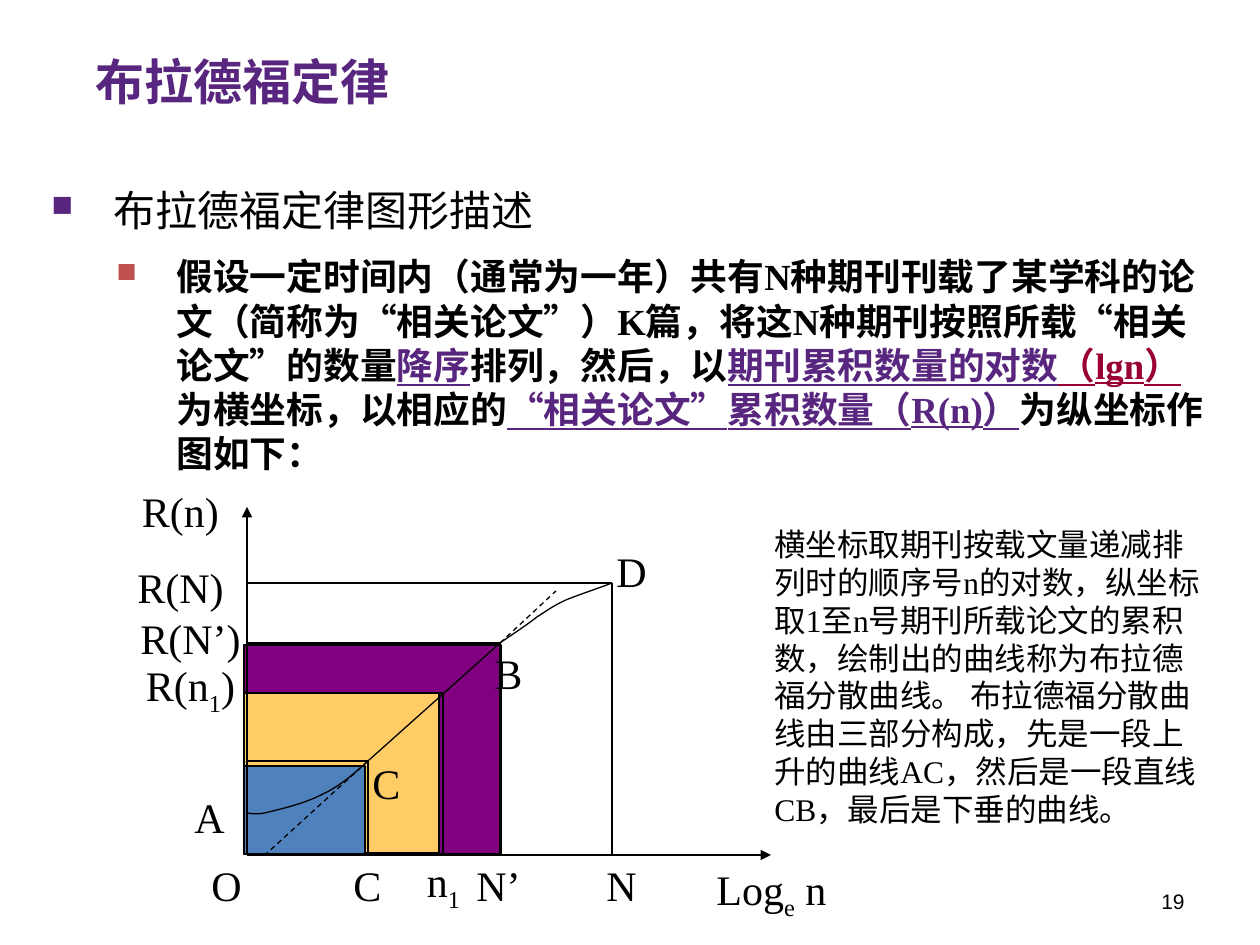
from itertools import groupby

from lxml import etree
from pptx import Presentation
from pptx import util as u
from pptx.dml.color import RGBColor
from pptx.enum import dml, lang, shapes, text
from pptx.oxml import ns

SCALE = 914400 / 126
BLACK = RGBColor(0x00, 0x00, 0x00)
VIOLET = RGBColor(0x58, 0x26, 0x7E)
CRIMSON = RGBColor(0x99, 0x00, 0x33)
RED = RGBColor(0xC0, 0x50, 0x4D)
PURPLE = RGBColor(0x80, 0x00, 0x80)
ORANGE = RGBColor(0xFF, 0xCC, 0x66)
BLUE = RGBColor(0x4F, 0x81, 0xBD)
SERIF = "Times New Roman"

LEFT, BASE = 247, 855
X_C, X_N1, X_NP, X_N = 368, 443, 500, 612
Y_N, Y_NP, Y_N1, Y_C = 583, 643, 693, 761

ZONES = [(645, 257, 209, PURPLE), (693, 195, 160, ORANGE), (766, 121, 88, BLUE)]
GUIDES = [
    (LEFT, Y_C, X_C, Y_C),
    (LEFT, Y_N1, X_N1, Y_N1),
    (LEFT, Y_NP, X_NP, Y_NP),
    (LEFT, Y_N, X_N, Y_N),
    (X_C, Y_C, X_C, BASE),
    (X_N1, Y_N1, X_N1, BASE),
    (X_NP, Y_NP, X_NP, BASE),
    (X_N, Y_N, X_N, BASE),
    (X_C, Y_C, X_NP, Y_NP),
]
AXES = [(LEFT, BASE, LEFT, 507), (LEFT, BASE, 771, BASE)]
EXTENSIONS = [(X_C, Y_C, 265, BASE), (X_NP, Y_NP, 556, 591)]
CURVES = [
    [(X_C, Y_C), (354, 774), (339, 787), (321, 795), (304, 804), (277, 810),
     (265, 813), (253, 815), (249, 813), (LEFT, 813)],
    [(X_NP, Y_NP), (513, 634), (527, 625), (537, 617), (548, 610), (553, 606),
     (566, 600), (578, 595), (605, 586), (X_N, Y_N)],
]
LABELS = [
    (134, 481, "R(n)", "", ""),
    (134, 557, "R(N)", "", ""),
    (144, 608, "R(N’)", "", ""),
    (144, 659, "R(n", "1", ")"),
    (163, 787, "A", "", ""),
    (340, 753, "C", "", ""),
    (462, 643, "B", "", ""),
    (585, 541, "D", "", ""),
    (180, 855, "O", "", ""),
    (321, 855, "C", "", ""),
    (397, 855, "n", "1", ""),
    (452, 855, "N’", "", ""),
    (575, 855, "N", "", ""),
    (725, 863, "Log", "e", " n"),
]
DESCRIPTION = [
    ("假设一定时间内（通常为一年）共有N种期刊刊载了某学科的论文（简称为“相关论文”）K篇，"
     "将这N种期刊按照所载“相关论文”的数量", BLACK, False),
    ("降序", VIOLET, True),
    ("排列，然后，以", BLACK, False),
    ("期刊累积数量的对数", VIOLET, True),
    ("（lgn）", CRIMSON, True),
    ("为横坐标，以相应的", BLACK, False),
    ("“相关论文”累积数量（R(n)）", VIOLET, True),
    ("为纵坐标作图如下：", BLACK, False),
]
EXPLANATION = (
    "横坐标取期刊按载文量递减排列时的顺序号n的对数，纵坐标取1至n号期刊所载论文的累积数，"
    "绘制出的曲线称为布拉德福分散曲线。 布拉德福分散曲线由三部分构成，先是一段上升的曲线AC，"
    "然后是一段直线CB，最后是下垂的曲线。"
)


def px(*values):
    return [round(v * SCALE) for v in values]


def add_run(p, content, size, name=SERIF, color=BLACK, **fmt):
    r = p.add_run()
    r.text = content
    r.font.color.rgb = color
    values = dict(fmt, size=u.Pt(size), name=name,
                  language_id=lang.MSO_LANGUAGE_ID.SIMPLIFIED_CHINESE)
    for key, value in values.items():
        setattr(r.font, key, value)
    return r


def add_text(s, box):
    tf = s.shapes.add_textbox(*px(*box)).text_frame
    tf.word_wrap = True
    return tf.paragraphs[0]


def add_bullet(p, color, percent, margin, indent):
    pPr = p._p.get_or_add_pPr()
    for key, value in zip(("marL", "indent"), px(margin, indent)):
        pPr.set(key, str(value))

    def child(parent, tag, **attrs):
        return etree.SubElement(parent, ns.qn("a:" + tag), **attrs)

    child(child(pPr, "spcBef"), "spcPct", val="20000")
    child(child(pPr, "buClr"), "srgbClr", val=str(color))
    child(pPr, "buSzPct", val=str(percent * 1000))
    child(pPr, "buChar", char="■")


def set_outline(sp):
    sp.line.color.rgb = BLACK
    sp.line.width = u.Pt(0.75)


def add_zone(s, top, width, height, color):
    sp = s.shapes.add_shape(shapes.MSO_SHAPE.RECTANGLE, *px(244, top, width, height))
    sp.shadow.inherit = False
    sp.fill.solid()
    sp.fill.fore_color.rgb = color
    set_outline(sp)


def add_line(s, ends, dashed=False, arrow=False):
    sp = s.shapes.add_connector(shapes.MSO_CONNECTOR.STRAIGHT, *px(*ends))
    set_outline(sp)
    if dashed:
        sp.line.dash_style = dml.MSO_LINE.DASH
    if arrow:
        etree.SubElement(sp.line._get_or_add_ln(), ns.qn("a:tailEnd"), type="triangle")
    etree.SubElement(sp._element.spPr, ns.qn("a:effectLst"))


def bezier(points, t):
    weights = ((1 - t) ** 3, 3 * t * (1 - t) ** 2, 3 * t * t * (1 - t), t ** 3)
    return px(*(sum(w * v for w, v in zip(weights, axis)) for axis in zip(*points)))


def add_curve(s, points, steps=10):
    builder = s.shapes.build_freeform(*px(*points[0]))
    for i in range(0, len(points) - 1, 3):
        segment = [bezier(points[i:i + 4], k / steps) for k in range(1, steps + 1)]
        builder.add_line_segments(segment, close=False)
    sp = builder.convert_to_shape()
    sp.shadow.inherit = False
    sp.fill.background()
    set_outline(sp)


def add_label(s, left, top, main_text, sub, rest):
    sp = s.shapes.add_shape(shapes.MSO_SHAPE.ROUNDED_RECTANGLE, *px(left, top, 93, 59))
    sp.shadow.inherit = False
    sp.fill.background()
    sp.line.fill.background()
    tf = sp.text_frame
    tf.word_wrap = False
    tf.vertical_anchor = text.MSO_ANCHOR.MIDDLE
    p = tf.paragraphs[0]
    p.alignment = text.PP_ALIGN.CENTER
    for content, baseline in ((main_text, 0), (sub, -25000), (rest, 0)):
        if content:
            r = add_run(p, content, 24)
            r._r.get_or_add_rPr().set("baseline", str(baseline))


def add_title(s, content):
    sp = s.shapes.title
    sp.left, sp.top, sp.width, sp.height = px(83, 45, 1177, 58)
    tf = sp.text_frame
    tf.auto_size = text.MSO_AUTO_SIZE.NONE
    tf.vertical_anchor = text.MSO_ANCHOR.TOP
    p = tf.paragraphs[0]
    p.alignment = text.PP_ALIGN.LEFT
    add_run(p, content, 28, "Calibri", VIOLET, bold=True)


def add_description(s):
    p = add_text(s, (39, 248, 1177, 158))
    p.level = 1
    add_bullet(p, RED, 75, 125, -60)
    for content, color, underline in DESCRIPTION:
        for quote, chars in groupby(content, lambda c: c in "“”"):
            add_run(p, "".join(chars), 21, "Arial" if quote else SERIF, color,
                    bold=True, underline=underline)


def add_diagram(s):
    for zone in ZONES:
        add_zone(s, *zone)
    for ends in AXES:
        add_line(s, ends, arrow=True)
    for ends in GUIDES:
        add_line(s, ends)
    for ends in EXTENSIONS:
        add_line(s, ends, dashed=True)
    for points in CURVES:
        add_curve(s, points)
    for label in LABELS:
        add_label(s, *label)


def main():
    prs = Presentation()
    prs.slide_width, prs.slide_height = px(1260, 945)
    s = prs.slides.add_slide(prs.slide_layouts[5])
    add_title(s, "布拉德福定律")
    p = add_text(s, (39, 178, 1221, 66))
    add_bullet(p, VIOLET, 70, 62, -62)
    add_run(p, "布拉德福定律图形描述", 24, "Calibri")
    add_description(s)
    add_run(add_text(s, (762, 519, 464, 318)), EXPLANATION, 18)
    add_diagram(s)
    p = add_text(s, (903, 882, 294, 38))
    p.alignment = text.PP_ALIGN.RIGHT
    add_run(p, "19", 12, "Arial")
    prs.save("out.pptx")


if __name__ == "__main__":
    main()
